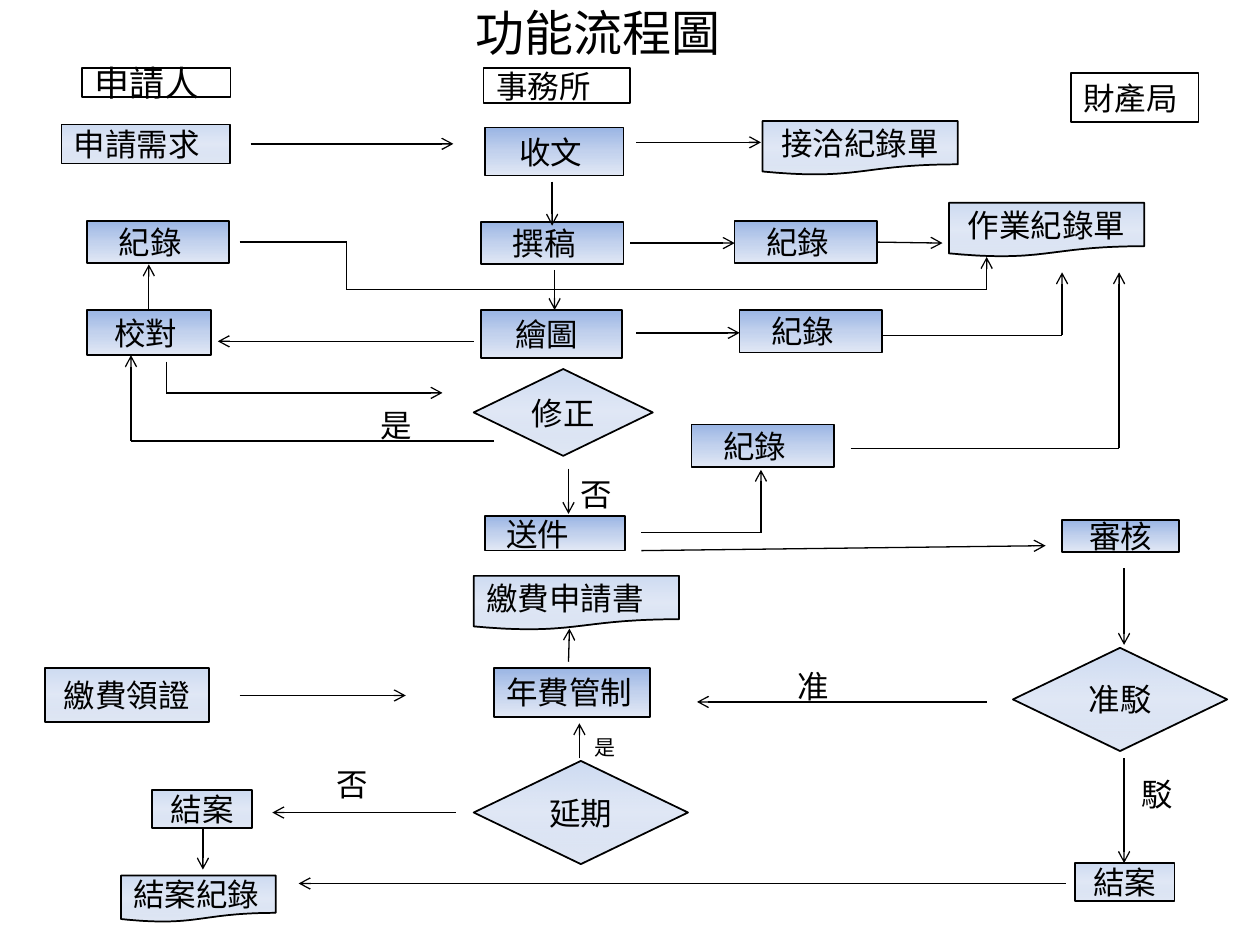
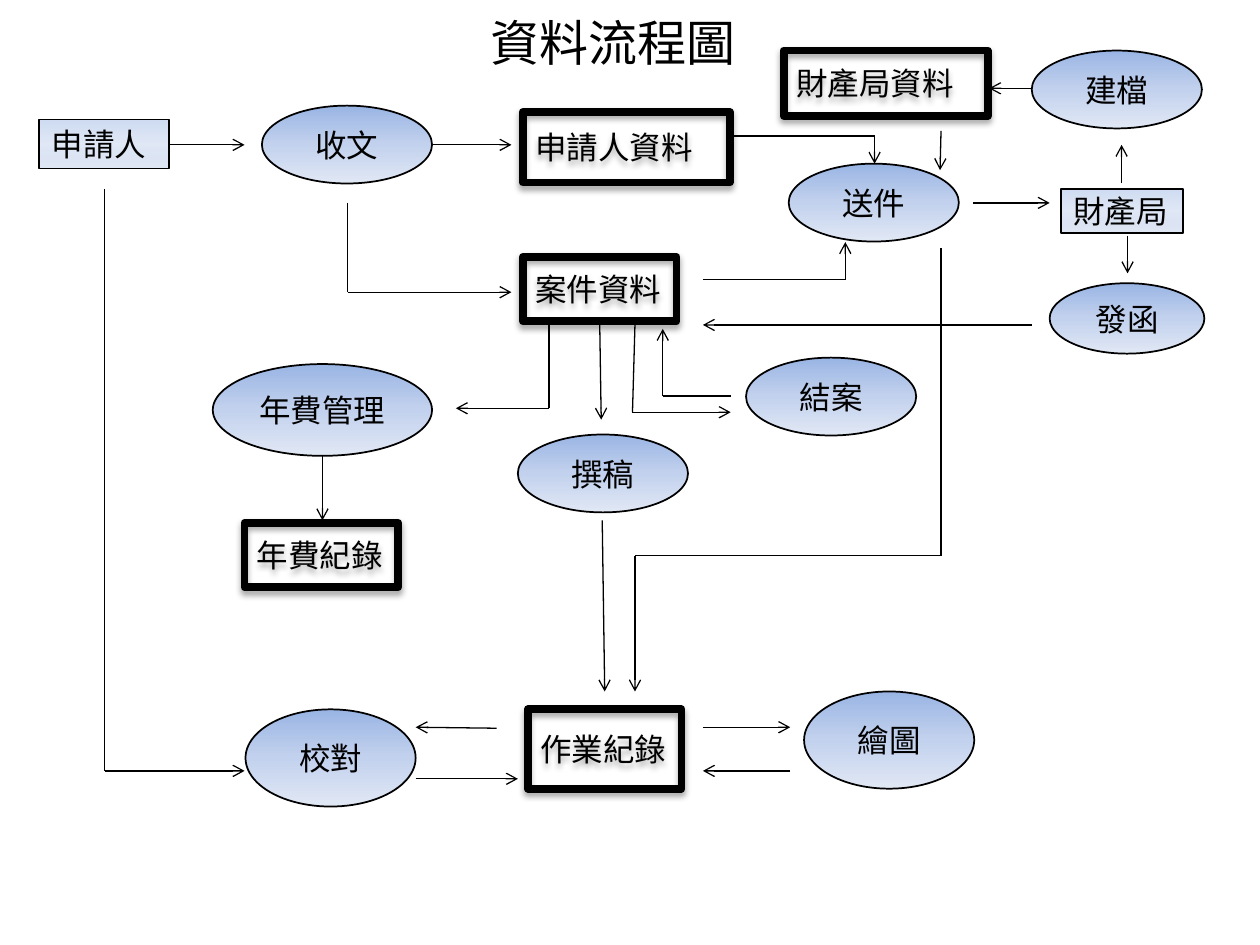
"""Build the function flow chart and the data flow chart."""
from lxml import etree
from pptx import Presentation
from pptx.dml.color import RGBColor
from pptx.enum.shapes import MSO_CONNECTOR, MSO_SHAPE
from pptx.enum.text import MSO_ANCHOR, PP_ALIGN
from pptx.oxml.ns import qn
from pptx.util import Cm, Pt

BLACK = RGBColor(0x00, 0x00, 0x00)
BLUE_TOP = RGBColor(0x9A, 0xB5, 0xE4)
BLUE_MIDDLE = RGBColor(0xC2, 0xD1, 0xED)
BLUE_BOTTOM = RGBColor(0xE1, 0xE8, 0xF5)

RECTANGLE = MSO_SHAPE.RECTANGLE
ELLIPSE = MSO_SHAPE.OVAL
DOCUMENT = MSO_SHAPE.FLOWCHART_DOCUMENT
DECISION = MSO_SHAPE.FLOWCHART_DECISION
STRAIGHT = MSO_CONNECTOR.STRAIGHT
LEFT, CENTER = PP_ALIGN.LEFT, PP_ALIGN.CENTER
TOP, MIDDLE = MSO_ANCHOR.TOP, MSO_ANCHOR.MIDDLE

FONT = "Calibri"
TITLE_SIZE, TEXT_SIZE, SMALL_SIZE, HEADER_SIZE = 28, 18, 12, 20
TITLE_ONLY = 5
INSET = 0.25

SOLID = [(0, BLUE_TOP, 100), (50, BLUE_MIDDLE, 100), (100, BLUE_BOTTOM, 100)]
PALE = [(0, BLUE_TOP, 48), (49, BLUE_MIDDLE, 49), (100, BLUE_BOTTOM, 100)]

NODE_STYLES = {
    "process": {"geometry": RECTANGLE, "stops": SOLID, "line": 1},
    "party": {"geometry": RECTANGLE, "stops": PALE, "line": 1},
    "document": {"geometry": DOCUMENT, "stops": PALE, "line": 1},
    "decision": {"geometry": DECISION, "stops": PALE, "line": 1},
    "header": {"geometry": RECTANGLE, "stops": None, "line": 1},
    "activity": {"geometry": ELLIPSE, "stops": SOLID, "line": 1},
    "store": {"geometry": RECTANGLE, "stops": None, "line": 4.5},
}

RECORD_SIZE = (2.87, 0.86)
DOCUMENT_SIZE = (3.94, 1.09)
DECISION_SIZE = (4.32, 2.08)
CLOSING_SIZE = (2.01, 0.76)
ACTIVITY_SIZE = (3.43, 1.57)
TALL_ACTIVITY_SIZE = (3.43, 1.96)
STORE_SIZE = (3.1, 1.3)

FUNCTION_NODES = [
    ("party", "申請需求", (1.24, 2.51), (3.4, 0.79), INSET),
    ("process", "審核", (21.41, 10.49), (2.36, 0.64), None),
    ("party", "繳費領證", (0.91, 13.46), (3.3, 1.09), None),
    ("document", "接洽紀錄單", (15.37, 2.44), DOCUMENT_SIZE, None),
    ("document", "作業紀錄單", (19.13, 4.09), DOCUMENT_SIZE, None),
    ("document", "繳費申請書", (9.55, 11.61), (4.14, 1.09), INSET),
    ("document", "結案紀錄", (2.44, 17.65), (3.12, 0.94), INSET),
    ("process", "年費管制", (9.96, 13.46), (3.15, 0.99), INSET),
    ("decision", "延期", (9.55, 15.34), DECISION_SIZE, None),
    ("decision", "准駁", (20.42, 13.06), DECISION_SIZE, None),
    ("decision", "修正", (9.55, 7.44), (3.61, 1.75), None),
    ("party", "結案", (3.07, 15.93), CLOSING_SIZE, None),
    ("party", "結案", (21.67, 17.4), CLOSING_SIZE, None),
    ("process", "收文", (9.78, 2.57), (2.79, 0.97), 0.69),
    ("process", "撰稿", (9.7, 4.47), RECORD_SIZE, 0.64),
    ("process", "繪圖", (9.7, 6.25), (2.84, 0.97), 0.69),
    ("process", "校對", (1.75, 6.25), (2.51, 0.91), 0.55),
    ("process", "送件", (9.78, 10.41), (2.82, 0.69), 0.43),
    ("header", "事務所", (9.75, 1.37), (2.95, 0.71), INSET),
    ("header", "財產局", (21.59, 1.47), (2.57, 0.99), INSET),
]
RECORD_POSITIONS = [(1.75, 4.45), (14.81, 4.45), (14.91, 6.25), (13.94, 8.56)]

FUNCTION_LABELS = [
    ("是", (11.73, 14.68), (1.73, 0.66), SMALL_SIZE),
    ("否", (6.53, 15.29), (1.22, 1.02), TEXT_SIZE),
    ("是", (7.42, 8.05), (1.2, 1.02), TEXT_SIZE),
    ("否", (11.46, 9.45), (1.83, 0.64), TEXT_SIZE),
    ("准", (15.82, 13.31), (1.73, 0.66), TEXT_SIZE),
    ("駁", (22.76, 15.49), (1.4, 0.66), TEXT_SIZE),
]

FUNCTION_FLOWS = [
    [(5.05, 2.9), (9.14, 2.9)],
    [(12.83, 2.87), (15.34, 2.87)],
    [(11.13, 3.66), (11.13, 4.55)],
    [(12.7, 4.9), (14.81, 4.9)],
    [(17.65, 4.88), (19, 4.9)],
    [(4.83, 4.88), (6.99, 4.88), (6.99, 5.84), (19.89, 5.84), (19.89, 5.18)],
    [(11.18, 5.44), (11.18, 6.25)],
    [(3, 6.25), (3, 5.33)],
    [(9.55, 6.88), (4.39, 6.88)],
    [(12.83, 6.71), (14.91, 6.71)],
    [(17.78, 6.76), (21.41, 6.76), (21.41, 5.49)],
    [(17.15, 9.04), (22.56, 9.04), (22.56, 5.49)],
    [(3.35, 7.29), (3.35, 7.92), (8.92, 7.92)],
    [(9.96, 8.89), (2.64, 8.89), (2.64, 7.16)],
    [(11.46, 9.45), (11.46, 10.36)],
    [(12.93, 10.74), (15.34, 10.74), (15.34, 9.47)],
    [(12.93, 11.1), (21.08, 11)],
    [(22.66, 11.46), (22.66, 13)],
    [(11.46, 13.34), (11.48, 12.67)],
    [(4.83, 14.02), (8.18, 14.02)],
    [(19.89, 14.15), (14.05, 14.15)],
    [(11.68, 15.29), (11.68, 14.58)],
    [(22.66, 15.29), (22.66, 17.4)],
    [(9.19, 16.38), (5.49, 16.38)],
    [(4.09, 16.71), (4.09, 17.53)],
    [(21.49, 17.81), (6.02, 17.81)],
]

DATA_NODES = [
    ("party", "申請人", (0.79, 2.41), (2.62, 0.99), INSET),
    ("party", "財產局", (21.39, 3.81), (2.46, 0.89), INSET),
    ("activity", "收文", (5.28, 2.13), ACTIVITY_SIZE, None),
    ("activity", "撰稿", (10.44, 8.76), ACTIVITY_SIZE, None),
    ("activity", "送件", (15.9, 3.3), ACTIVITY_SIZE, None),
    ("activity", "結案", (15.04, 7.21), ACTIVITY_SIZE, None),
    ("activity", "建檔", (20.8, 1.02), ACTIVITY_SIZE, None),
    ("activity", "繪圖", (16.21, 13.94), TALL_ACTIVITY_SIZE, None),
    ("activity", "校對", (4.95, 14.3), TALL_ACTIVITY_SIZE, None),
    ("activity", "年費管理", (4.29, 7.34), (4.42, 1.85), None),
    ("activity", "發函", (21.16, 5.71), (3.12, 1.42), None),
    ("store", "申請人資料", (10.54, 2.26), (4.17, 1.42), INSET),
    ("store", "財產局資料", (15.8, 1.02), (4.11, 1.32), INSET),
    ("store", "案件資料", (10.54, 5.18), STORE_SIZE, INSET),
    ("store", "年費紀錄", (4.93, 10.54), STORE_SIZE, INSET),
    ("store", "作業紀錄", (10.64, 14.3), (3.1, 1.6), INSET),
]

DATA_FLOWS = [
    [(3.43, 2.92), (4.93, 2.92)],
    [(8.71, 2.92), (10.31, 2.92)],
    [(7.01, 4.09), (7.01, 5.89), (10.31, 5.89)],
    [(14.73, 2.74), (17.63, 2.74), (17.63, 3.3)],
    [(20.8, 1.78), (19.94, 1.78)],
    [(18.97, 2.64), (18.95, 3.43)],
    [(22.61, 3.68), (22.61, 2.92)],
    [(19.61, 4.09), (21.16, 4.09)],
    [(22.73, 4.75), (22.73, 5.51)],
    [(14.17, 5.64), (17.04, 5.64), (17.04, 4.88)],
    [(20.8, 6.55), (14.17, 6.55)],
    [(11.07, 6.48), (11.07, 8.23), (9.19, 8.23)],
    [(12.09, 6.55), (12.12, 8.46)],
    [(12.8, 6.55), (12.75, 8.31), (14.73, 8.31)],
    [(14.73, 7.98), (13.36, 7.98), (13.36, 6.63)],
    [(6.5, 9.19), (6.5, 10.49)],
    [(12.14, 10.49), (12.19, 13.94)],
    [(18.97, 5), (18.97, 11.2), (12.8, 11.2), (12.8, 13.94)],
    [(2.11, 3.81), (2.11, 15.54), (4.93, 15.54)],
    [(10.01, 14.68), (8.38, 14.66)],
    [(8.38, 15.7), (10.44, 15.7)],
    [(14.17, 14.66), (15.93, 14.66)],
    [(15.93, 15.54), (14.17, 15.54)],
]


def set_attributes(target, values):
    """Set every named value on the target."""
    for name, value in values.items():
        setattr(target, name, value)


def add_child(parent, tag, **attributes):
    """Append a DrawingML element and return it."""
    child = etree.SubElement(parent, qn(tag))
    for name, value in attributes.items():
        child.set(name, str(value))
    return child


def add_color(parent, color, opacity):
    """Append an RGB colour with its opacity in percent."""
    add_child(add_child(parent, "a:srgbClr", val=color), "a:alpha", val=opacity * 1000)


def write_text(shape, text, size=TEXT_SIZE, alignment=LEFT, anchor=MIDDLE, inset=INSET):
    """Write one black line of text into a shape."""
    frame = shape.text_frame
    set_attributes(frame, {
        "word_wrap": True,
        "vertical_anchor": anchor,
        "margin_left": Cm(inset),
        "margin_right": 0,
        "margin_top": Cm(0.13),
        "margin_bottom": Cm(0.13),
    })
    paragraph = frame.paragraphs[0]
    paragraph.alignment = alignment
    run = paragraph.add_run()
    run.text = text
    set_attributes(run.font, {"name": FONT, "size": Pt(size)})
    run.font.color.rgb = BLACK


def fill_gradient(shape, stops):
    """Fill a shape from top to bottom with the given stops."""
    shape.fill.gradient()
    shape.fill.gradient_angle = 270
    stop_list = shape.element.spPr.find(qn("a:gradFill")).find(qn("a:gsLst"))
    for stop in list(stop_list):
        stop_list.remove(stop)
    for position, color, opacity in stops:
        add_color(add_child(stop_list, "a:gs", pos=position * 1000), color, opacity)


def add_store_shadow(shape):
    """Give a data store its soft shadow."""
    effects = shape.element.spPr.find(qn("a:effectLst"))
    shadow = add_child(effects, "a:outerShdw", blurRad=Pt(3.5), dist=Pt(2.2),
                       dir=90 * 60000, rotWithShape=0)
    add_color(shadow, BLACK, 32)


def add_node(slide, kind, text, position, size, inset, text_size=TEXT_SIZE):
    """Add a flow chart node; its text is centred when there is no inset."""
    style = NODE_STYLES[kind]
    shape = slide.shapes.add_shape(style["geometry"], *map(Cm, position + size))
    shape.shadow.inherit = False
    if style["stops"]:
        fill_gradient(shape, style["stops"])
    else:
        shape.fill.background()
    shape.line.color.rgb = BLACK
    shape.line.width = Pt(style["line"])
    if kind == "store":
        add_store_shadow(shape)
    alignment = CENTER if inset is None else LEFT
    write_text(shape, text, text_size, alignment, inset=inset or 0)


def add_label(slide, text, position, size, text_size):
    """Add the answer beside a branch."""
    box = slide.shapes.add_textbox(*map(Cm, position + size))
    write_text(box, text, text_size, anchor=TOP)


def add_flow(slide, points):
    """Join the points with lines and end in an arrowhead."""
    for start, end in zip(points, points[1:]):
        connector = slide.shapes.add_connector(STRAIGHT, *map(Cm, start + end))
        connector.line.color.rgb = BLACK
        connector.line.width = Pt(0.75)
        properties = connector.element.spPr
        add_child(properties, "a:effectLst")
    add_child(properties.find(qn("a:ln")), "a:tailEnd", type="arrow")


def add_chart_slide(presentation, title, title_box, nodes, flows):
    """Add a slide with its title, nodes and flows."""
    slide = presentation.slides.add_slide(presentation.slide_layouts[TITLE_ONLY])
    heading = slide.shapes.title
    set_attributes(heading, dict(zip(("left", "top", "width", "height"), map(Cm, title_box))))
    write_text(heading, title, TITLE_SIZE, CENTER, inset=0)
    for node in nodes:
        add_node(slide, *node)
    for points in flows:
        add_flow(slide, points)
    return slide


def main():
    """Build both slides and save the file."""
    presentation = Presentation()
    set_attributes(presentation, {"slide_width": Cm(25.4), "slide_height": Cm(19.05)})
    slide = add_chart_slide(presentation, "功能流程圖", (-0.64, -0.15, 25.4, 1.6),
                            FUNCTION_NODES, FUNCTION_FLOWS)
    add_node(slide, "header", "申請人", (1.65, 1.37), (3, 0.58), INSET, HEADER_SIZE)
    for position in RECORD_POSITIONS:
        add_node(slide, "process", "紀錄", position, RECORD_SIZE, 0.64)
    for label in FUNCTION_LABELS:
        add_label(slide, *label)
    add_chart_slide(presentation, "資料流程圖", (0.92, -0.2, 22.86, 2.1),
                    DATA_NODES, DATA_FLOWS)
    presentation.save("out.pptx")


if __name__ == "__main__":
    main()
